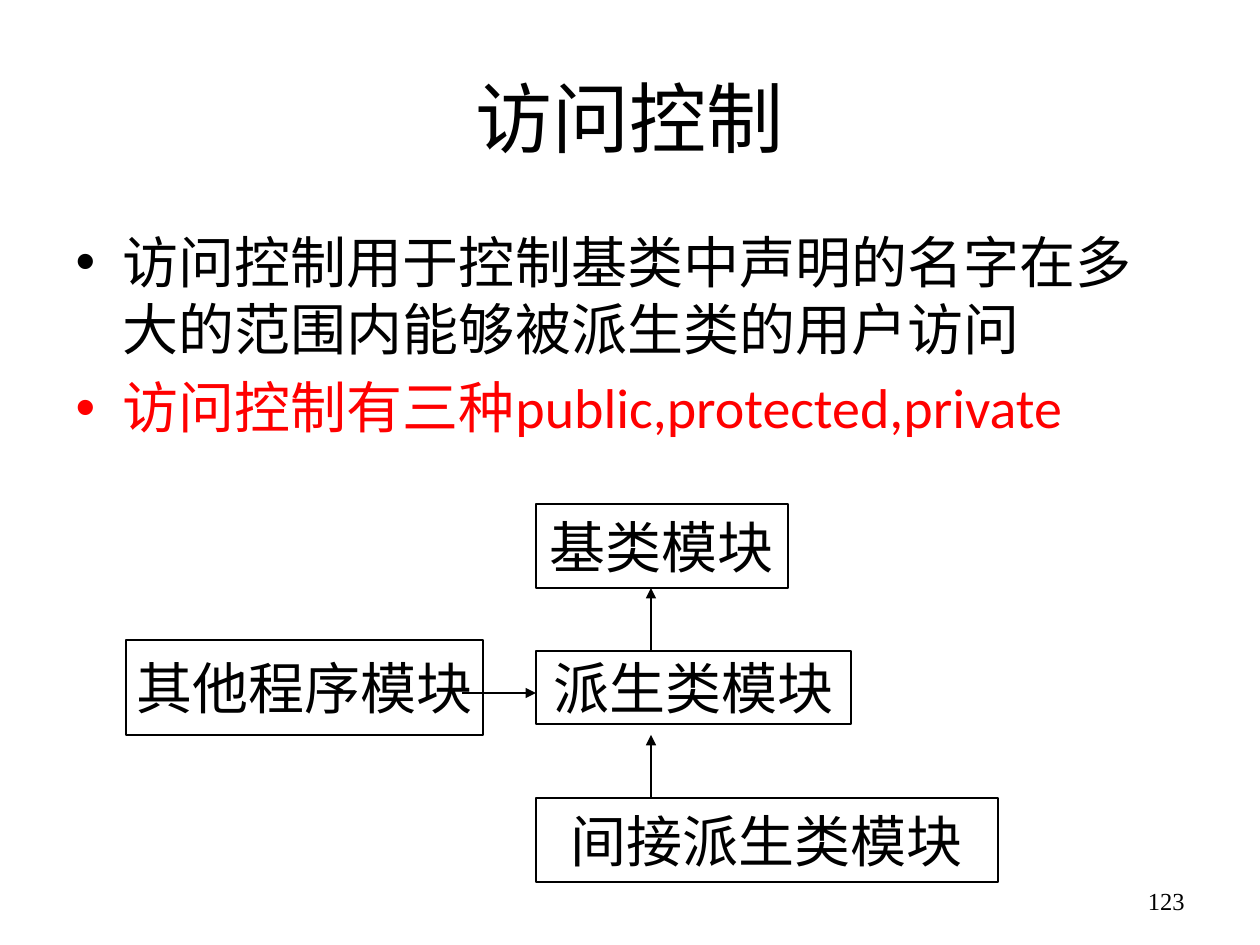
from lxml import etree
from pptx import Presentation
from pptx.dml.color import RGBColor
from pptx.enum.shapes import MSO_CONNECTOR, MSO_SHAPE
from pptx.enum.text import MSO_ANCHOR, PP_ALIGN
from pptx.oxml.ns import qn
from pptx.util import Emu, Pt

LINE = MSO_CONNECTOR.STRAIGHT
RECT = MSO_SHAPE.RECTANGLE
MIDDLE = MSO_ANCHOR.MIDDLE
TOP = MSO_ANCHOR.TOP
LEFT, CENTER, RIGHT = PP_ALIGN.LEFT, PP_ALIGN.CENTER, PP_ALIGN.RIGHT
BLACK, RED = "000000", "FF0000"
PX_PER_INCH = 126

BULLETS = [
    ("访问控制用于控制基类中声明的名字在多大的范围内能够被派生类的用户访问", BLACK),
    ("访问控制有三种public,protected,private", RED),
]
MODULES = [
    ("基类模块", (536, 504, 252, 84)),
    ("派生类模块", (536, 651, 315, 73)),
    ("间接派生类模块", (536, 798, 462, 84)),
    ("其他程序模块", (126, 640, 357, 95)),
]
ARROWS = [
    (462, 693, 536, 693),
    (651, 798, 651, 735),
    (651, 651, 651, 588),
]


def px(*values):
    """Turn pixel lengths into a list of EMU lengths."""
    return [Emu(round(v * 914400 / PX_PER_INCH)) for v in values]


def color(hex_string):
    """Return the colour for a hex string."""
    return RGBColor.from_string(hex_string)


def format_paragraph(p, size, font, hex_string, align):
    """Format a paragraph and its runs."""
    p.alignment = align
    for r in p.runs:
        r.font.size = Pt(size)
        r.font.name = font
        r.font.color.rgb = color(hex_string)


def fill_placeholder(sp, box, items, size, align, anchor):
    """Move a placeholder and write one paragraph per item."""
    sp.left, sp.top, sp.width, sp.height = px(*box)
    tf = sp.text_frame
    tf.vertical_anchor = anchor
    tf.text = "\n".join(text for text, _ in items)
    for p, (_, hex_string) in zip(tf.paragraphs, items):
        format_paragraph(p, size, "Calibri", hex_string, align)


def add_module(s, text, box):
    """Add an outlined box with a centred module name."""
    sp = s.shapes.add_shape(RECT, *px(*box))
    sp.shadow.inherit = False
    sp.fill.background()
    sp.line.color.rgb = color(BLACK)
    sp.line.width = Pt(0.75)
    tf = sp.text_frame
    tf.word_wrap = False
    tf.vertical_anchor = MIDDLE
    tf.text = text
    p = tf.paragraphs[0]
    p.space_before = Pt(6.4)
    format_paragraph(p, 32, "Karla", BLACK, CENTER)


def add_arrow(s, ends):
    """Add a thin line with a triangle at its end."""
    cx = s.shapes.add_connector(LINE, *px(*ends))
    cx.line.color.rgb = color(BLACK)
    cx.line.width = Pt(0.75)
    ln = cx.line._get_or_add_ln()
    etree.SubElement(ln, qn("a:tailEnd"), type="triangle")
    etree.SubElement(cx._element.spPr, qn("a:effectLst"))


def add_page_number(s, text, box):
    """Add the page number at the lower right."""
    tf = s.shapes.add_textbox(*px(*box)).text_frame
    tf.word_wrap = True
    tf.vertical_anchor = MIDDLE
    tf.text = text
    format_paragraph(tf.paragraphs[0], 14, "Times New Roman", BLACK, RIGHT)


def main():
    """Build the slide and save it."""
    prs = Presentation()
    prs.slide_width, prs.slide_height = px(1260, 945)
    s = prs.slides.add_slide(prs.slide_layouts[1])
    title, body = s.placeholders
    add_page_number(s, "123", (903, 876, 294, 50))
    fill_placeholder(title, (63, 38, 1134, 157), [("访问控制", BLACK)], 44, CENTER, MIDDLE)
    fill_placeholder(body, (63, 221, 1134, 624), BULLETS, 32, LEFT, TOP)
    for text, box in MODULES:
        add_module(s, text, box)
    for ends in ARROWS:
        add_arrow(s, ends)
    prs.save("out.pptx")


if __name__ == "__main__":
    main()
